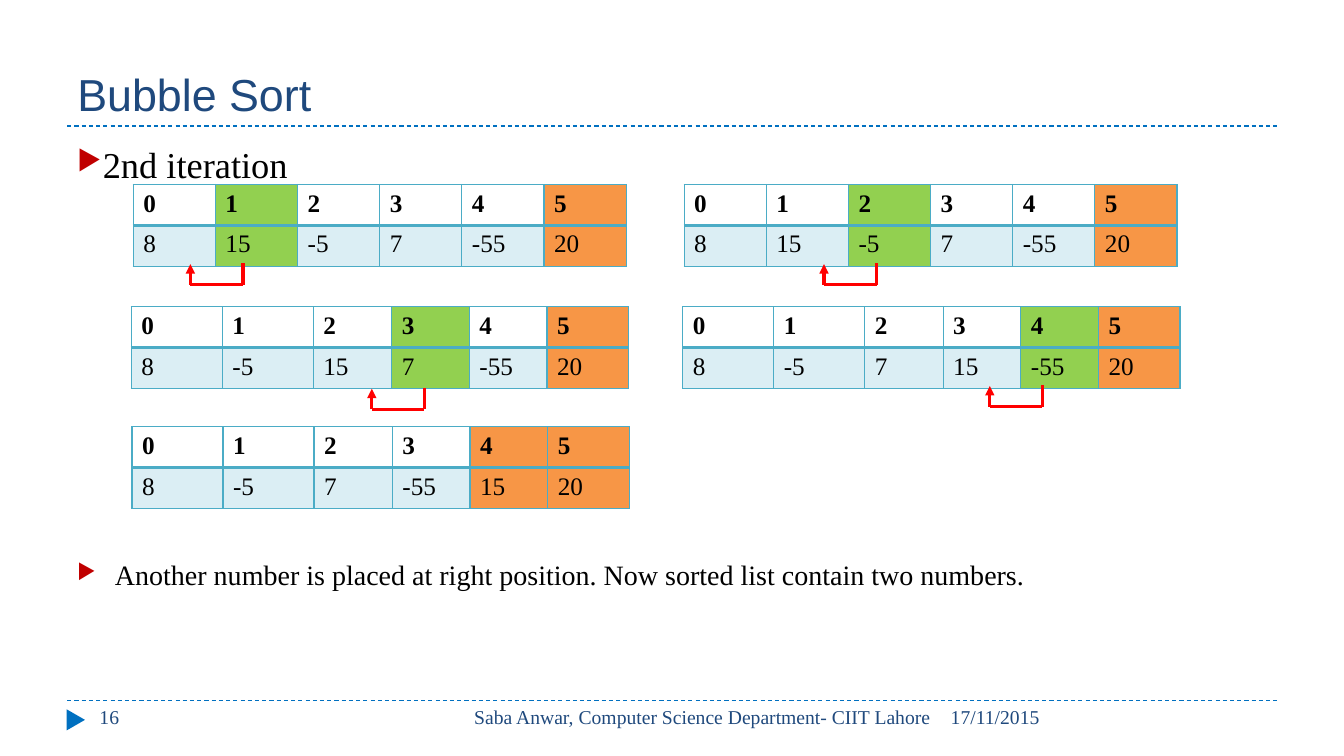
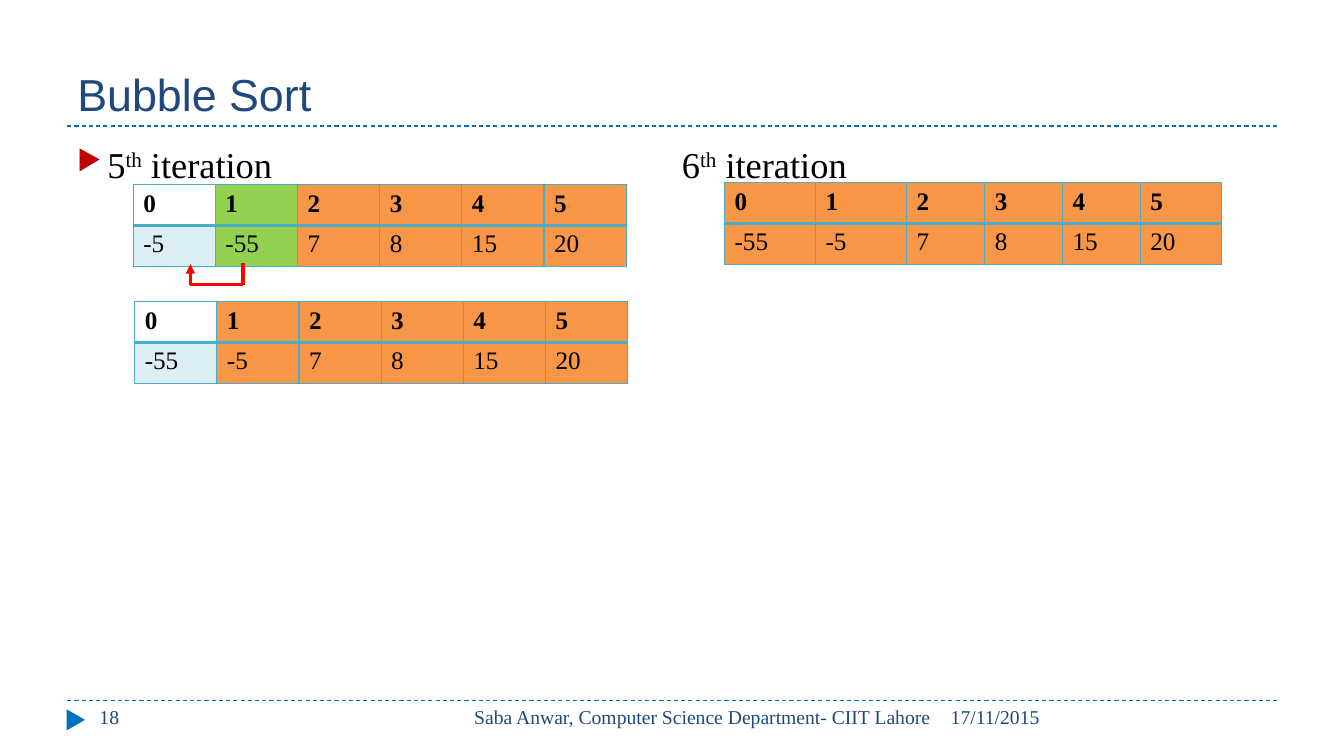
from lxml import etree
from pptx import Presentation
from pptx.dml.color import RGBColor
from pptx.enum.dml import MSO_LINE_DASH_STYLE as Dash
from pptx.enum.shapes import MSO_CONNECTOR as Connector, MSO_SHAPE as Shape
from pptx.enum.text import MSO_ANCHOR as Anchor, PP_ALIGN as Align
from pptx.oxml.ns import qn
from pptx.util import Pt

SERIF, SANS = "Times New Roman", "Arial"
BLACK, NAVY, BLUE, RED, BULLET = "000000", "1F497D", "0070C0", "FF0000", "C00000"
GRID, TINT, ACTIVE, SORTED = "4BACC6", "DBEEF4", "92D050", "F79646"

FOOTER = "Saba Anwar, Computer Science Department- CIIT Lahore"
DATE = "17/11/2015"
RULE_LEFT, RULE_RIGHT, RULE_TOPS = 48, 912, (90, 500.2)

EVEN = (58.7,) * 6
UNEVEN = (65, 65, 56, 55.5, 55.5, 58.3)
ROW_HEIGHT = 29.2
SWAP_WIDTH, SWAP_DEPTH = 37.6, 15.5

# Texts: (left, top, parts, size, bullet indent); every second part is superscript.
# Arrays: (left, top, column widths, values, active index, sorted from, swap (left, top)).
SLIDES = [
    {
        "number": "16",
        "title": "Bubble Sort",
        "texts": [
            (48, 98, ["2nd iteration"], 26, 13),
            (48, 395, ["Another number is placed at right position. "
                       "Now sorted list contain two numbers."], 20, 27),
        ],
        "arrays": [
            (95.2, 131.8, EVEN, (8, 15, -5, 7, -55, 20), 1, 5, (136, 188)),
            (488.7, 131.8, EVEN, (8, 15, -5, 7, -55, 20), 2, 5, (588.6, 188)),
            (93.8, 219, UNEVEN, (8, -5, 15, 7, -55, 20), 3, 5, (265.6, 277)),
            (487.7, 219, UNEVEN, (8, -5, 7, 15, -55, 20), 4, 5, (707, 275)),
            (94.3, 304.8, UNEVEN, (8, -5, 7, -55, 15, 20), None, 4, None),
        ],
    },
    {
        "number": "18",
        "title": "Bubble Sort",
        "texts": [
            (48, 98, ["5", "th", " iteration"], 26, 21.6),
            (480, 98, ["6", "th", " iteration"], 26, 0),
        ],
        "arrays": [
            (95.2, 131.8, EVEN, (-5, -55, 7, 8, 15, 20), 1, 2, (136, 188)),
            (96.2, 215.4, EVEN, (-55, -5, 7, 8, 15, 20), None, 1, None),
            (517.5, 130.4, UNEVEN, (-55, -5, 7, 8, 15, 20), None, 0, None),
        ],
    },
]


def color(value):
    return RGBColor.from_string(value)


def add_bullet(paragraph, indent):
    properties = paragraph._p.get_or_add_pPr()
    properties.set("marL", str(Pt(indent)))
    properties.set("indent", str(-Pt(indent)))
    bullet_color = etree.SubElement(properties, qn("a:buClr"))
    etree.SubElement(bullet_color, qn("a:srgbClr"), val=BULLET)
    etree.SubElement(properties, qn("a:buSzPct"), val="76000")
    etree.SubElement(properties, qn("a:buChar"), char="▶")


def write_text(frame, parts, size=18, font=SERIF, fill=BLACK, bold=False,
               align=Align.LEFT, anchor=Anchor.TOP, indent=0):
    """Write one paragraph; every second part is superscript."""
    frame.word_wrap = True
    frame.vertical_anchor = anchor
    paragraph = frame.paragraphs[0]
    paragraph.alignment = align
    if indent:
        add_bullet(paragraph, indent)
    for index, part in enumerate(parts):
        run = paragraph.add_run()
        run.text = part
        run.font.size = Pt(size)
        run.font.name = font
        run.font.bold = bold
        run.font.color.rgb = color(fill)
        if index % 2:
            run._r.get_or_add_rPr().set("baseline", "30000")


def add_text(slide, left, top, width, height, parts, **text_format):
    box = slide.shapes.add_textbox(Pt(left), Pt(top), Pt(width), Pt(height))
    write_text(box.text_frame, parts, **text_format)


def add_line(shapes, start, end, fill, width, dash=None, arrow=False):
    connector = shapes.add_connector(
        Connector.STRAIGHT, *(Pt(value) for value in (*start, *end)))
    connector.line.color.rgb = color(fill)
    connector.line.width = Pt(width)
    if dash:
        connector.line.dash_style = dash
    if arrow:
        etree.SubElement(connector.line._get_or_add_ln(), qn("a:tailEnd"), type="triangle")
    etree.SubElement(connector._element.spPr, qn("a:effectLst"))


def add_frame(slide, title, number):
    """Add the title, dashed rules and footer that all slides share."""
    for top in RULE_TOPS:
        add_line(slide.shapes, (RULE_LEFT, top), (RULE_RIGHT, top), BLUE, 0.75, Dash.DASH)

    marker = slide.shapes.add_shape(
        Shape.ISOSCELES_TRIANGLE, Pt(46.7), Pt(507.7), Pt(15), Pt(13))
    marker.rotation = 90
    marker.shadow.inherit = False
    marker.fill.solid()
    marker.fill.fore_color.rgb = color(BLUE)
    marker.line.fill.background()

    heading = slide.shapes.title
    heading.left, heading.top, heading.width, heading.height = Pt(48), Pt(12), Pt(864), Pt(78)
    write_text(heading.text_frame, [title], size=32, font=SANS, fill=NAVY, anchor=Anchor.BOTTOM)

    for left, width, text, align in (
        (64, 208, number, Align.LEFT),
        (304.5, 367.5, FOOTER, Align.RIGHT),
        (672, 240, DATE, Align.LEFT),
    ):
        add_text(slide, left, 500.2, width, 29, [text], size=14, fill=NAVY, align=align)


def set_borders(cell, **widths):
    properties = cell._tc.get_or_add_tcPr()
    for index, (side, width) in enumerate(widths.items()):
        line = etree.Element(qn(f"a:{side}"), w=str(Pt(width)))
        fill = etree.SubElement(line, qn("a:solidFill"))
        etree.SubElement(fill, qn("a:srgbClr"), val=GRID)
        properties.insert(index, line)


def add_array(slide, left, top, widths, values, active, sorted_from):
    """Add a table of indexes over values, with the active and sorted cells marked."""
    table = slide.shapes.add_table(
        2, len(values), Pt(left), Pt(top), Pt(sum(widths)), Pt(2 * ROW_HEIGHT)).table
    table.first_row = table.horz_banding = False
    for column, width in zip(table.columns, widths):
        column.width = Pt(width)
    for row_index, row in enumerate((range(len(values)), values)):
        header = row_index == 0
        table.rows[row_index].height = Pt(ROW_HEIGHT)
        for index, value in enumerate(row):
            cell = table.cell(row_index, index)
            write_text(cell.text_frame, [str(value)], bold=header)
            fill = None if header else TINT
            if index >= sorted_from:
                fill = SORTED
            elif index == active:
                fill = ACTIVE
            if fill:
                cell.fill.solid()
                cell.fill.fore_color.rgb = color(fill)
            else:
                cell.fill.background()
            set_borders(cell, lnL=1, lnR=1, lnT=1 if header else 2, lnB=2 if header else 1)


def add_swap(slide, left, top):
    """Add a red arrow that leads down, left and up into the previous cell."""
    shapes = slide.shapes.add_group_shape().shapes
    right, bottom = left + SWAP_WIDTH, top + SWAP_DEPTH
    add_line(shapes, (left, bottom), (right, bottom), RED, 2.25)
    add_line(shapes, (right, bottom), (right, top), RED, 2.25)
    add_line(shapes, (left, bottom), (left, top + 0.7), RED, 2.25, arrow=True)


def main():
    presentation = Presentation()
    presentation.slide_width, presentation.slide_height = Pt(960), Pt(540)
    for content in SLIDES:
        slide = presentation.slides.add_slide(presentation.slide_layouts[5])
        add_frame(slide, content["title"], content["number"])
        for left, top, parts, size, indent in content["texts"]:
            add_text(slide, left, top, RULE_RIGHT - left, 1.5 * size, parts,
                     size=size, indent=indent)
        for *array, swap in content["arrays"]:
            add_array(slide, *array)
            if swap:
                add_swap(slide, *swap)
    presentation.save("out.pptx")


if __name__ == "__main__":
    main()
